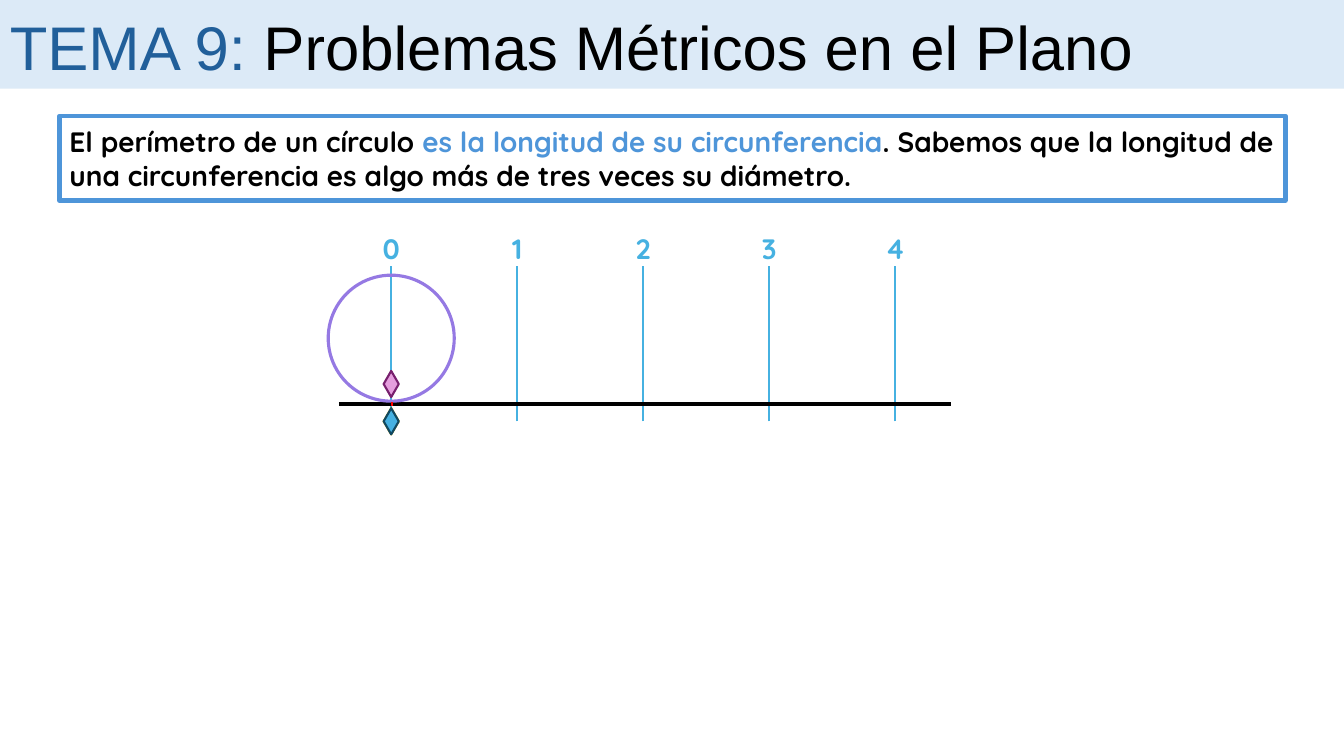
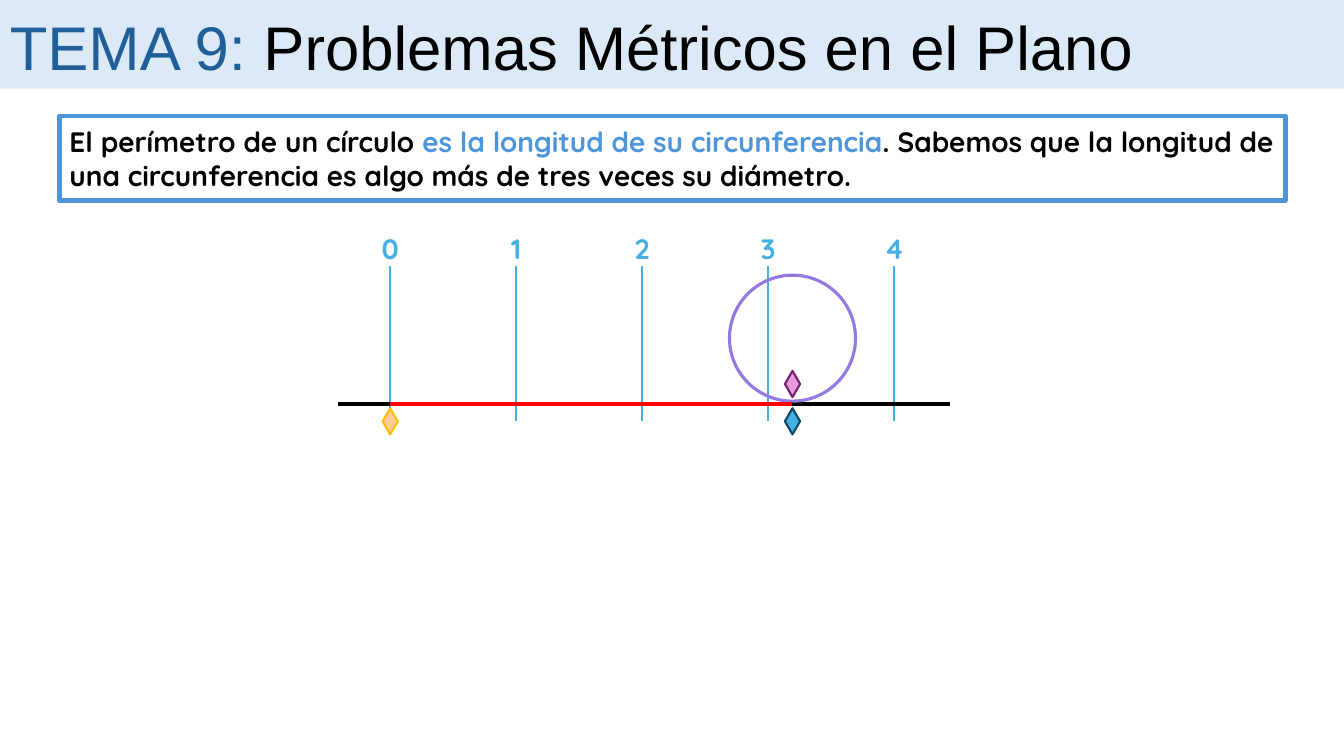
from dataclasses import dataclass

from lxml.etree import SubElement
from pptx import Presentation
from pptx.dml.color import RGBColor
from pptx.enum.shapes import MSO_CONNECTOR, MSO_SHAPE
from pptx.enum.text import MSO_ANCHOR, PP_ALIGN
from pptx.oxml.ns import qn
from pptx.util import Inches, Pt


@dataclass(frozen=True)
class Theme:
    title_font: str = "Arial"
    body_font: str = "Quicksand"
    title_size: int = 44
    body_size: int = 20
    thick: float = 3
    medium: float = 2.25
    thin: float = 1.5
    black: str = "000000"
    band: str = "DCEAF7"
    title: str = "215F9A"
    accent: str = "4E95D9"
    scale: str = "46B1E1"
    circle: str = "9579E3"
    path_red: str = "FF0000"
    start_fill: str = "FFCC99"
    start_line: str = "FFC000"
    contact_fill: str = "E59EDD"
    contact_line: str = "78206E"
    end_line: str = "104862"


T = Theme()
SLIDE_W, SLIDE_H = 13.33, 7.5
DIAMETER = 1.25
GROUND_Y = 4.01
TITLE = [("TEMA 9: ", T.title), ("Problemas Métricos en el Plano", T.black)]
DEFINITION = [
    ("El perímetro de un círculo ", T.black),
    ("es la longitud de su circunferencia", T.accent),
    (". Sabemos que la longitud de una circunferencia es algo más de tres veces su diámetro.", T.black),
]


def rgb(value):
    return RGBColor.from_string(value)


def add_shape(s, kind, x, y, w, h, fill=None, line=None, weight=T.thin):
    sp = s.shapes.add_shape(kind, Inches(x), Inches(y), Inches(w), Inches(h))
    sp.shadow.inherit = False
    if fill:
        sp.fill.solid()
        sp.fill.fore_color.rgb = rgb(fill)
    else:
        sp.fill.background()
    if line:
        sp.line.color.rgb = rgb(line)
        sp.line.width = Pt(weight)
    else:
        sp.line.fill.background()
    return sp


def add_line(s, x1, y1, x2, y2, color, weight):
    line = s.shapes.add_connector(
        MSO_CONNECTOR.STRAIGHT, Inches(x1), Inches(y1), Inches(x2), Inches(y2))
    line.line.color.rgb = rgb(color)
    line.line.width = Pt(weight)
    SubElement(line._element.spPr, qn("a:effectLst"))


def write(sp, runs, font, size, bold=False, align=PP_ALIGN.LEFT):
    tf = sp.text_frame
    tf.word_wrap = True
    p = tf.paragraphs[0]
    p.alignment = align
    p.font.name = font
    p.font.size = Pt(size)
    p.font.bold = bold
    for text, color in runs:
        r = p.add_run()
        r.text = text
        r.font.color.rgb = rgb(color)
    return tf


def add_title(s):
    band = add_shape(s, MSO_SHAPE.RECTANGLE, 0, 0, SLIDE_W, 0.88, T.band)
    tf = write(band, TITLE, T.title_font, T.title_size)
    tf.vertical_anchor = MSO_ANCHOR.TOP
    tf.margin_top = Inches(0.09)
    tf.margin_bottom = 0


def add_definition(s):
    box = add_shape(s, MSO_SHAPE.RECTANGLE, 0.59, 1.15, 12.16, 0.84,
                    line=T.accent, weight=T.thick)
    tf = write(box, DEFINITION, T.body_font, T.body_size, bold=True)
    tf.vertical_anchor = MSO_ANCHOR.MIDDLE


def add_scale(s, origin):
    for n in range(5):
        x = origin + n * DIAMETER
        add_line(s, x, 4.18, x, 2.64, T.scale, T.thin)
        label = s.shapes.add_textbox(
            Inches(x - 0.2), Inches(2.25), Inches(0.4), Inches(0.44))
        write(label, [(str(n), T.scale)], T.body_font, T.body_size,
              bold=True, align=PP_ALIGN.CENTER)
    add_line(s, origin - 0.52, GROUND_Y, origin + 5.55, GROUND_Y, T.black, T.thick)


def add_marker(s, x, y, fill, line):
    w = 0.15
    add_shape(s, MSO_SHAPE.DIAMOND, x - w / 2, y, w, 0.26, fill, line)


def add_rolling_circle(s, origin, travel):
    x = origin + travel
    below = GROUND_Y + 0.04
    add_marker(s, origin, below, T.start_fill, T.start_line)
    add_shape(s, MSO_SHAPE.OVAL, x - DIAMETER / 2, 2.73, DIAMETER, DIAMETER,
              line=T.circle, weight=T.medium)
    add_marker(s, x, 3.68, T.contact_fill, T.contact_line)
    add_marker(s, x, below, T.scale, T.end_line)
    add_line(s, origin, GROUND_Y, origin + max(travel, 0.02), GROUND_Y,
             T.path_red, T.thick)


def add_circle_slide(prs, origin, travel):
    s = prs.slides.add_slide(prs.slide_layouts[6])
    add_definition(s)
    add_scale(s, origin)
    add_rolling_circle(s, origin, travel)
    add_title(s)


def main():
    prs = Presentation()
    prs.slide_width = Inches(SLIDE_W)
    prs.slide_height = Inches(SLIDE_H)
    for origin, travel in [(3.88, 0), (3.87, 3.99)]:
        add_circle_slide(prs, origin, travel)
    prs.save("out.pptx")


if __name__ == "__main__":
    main()
